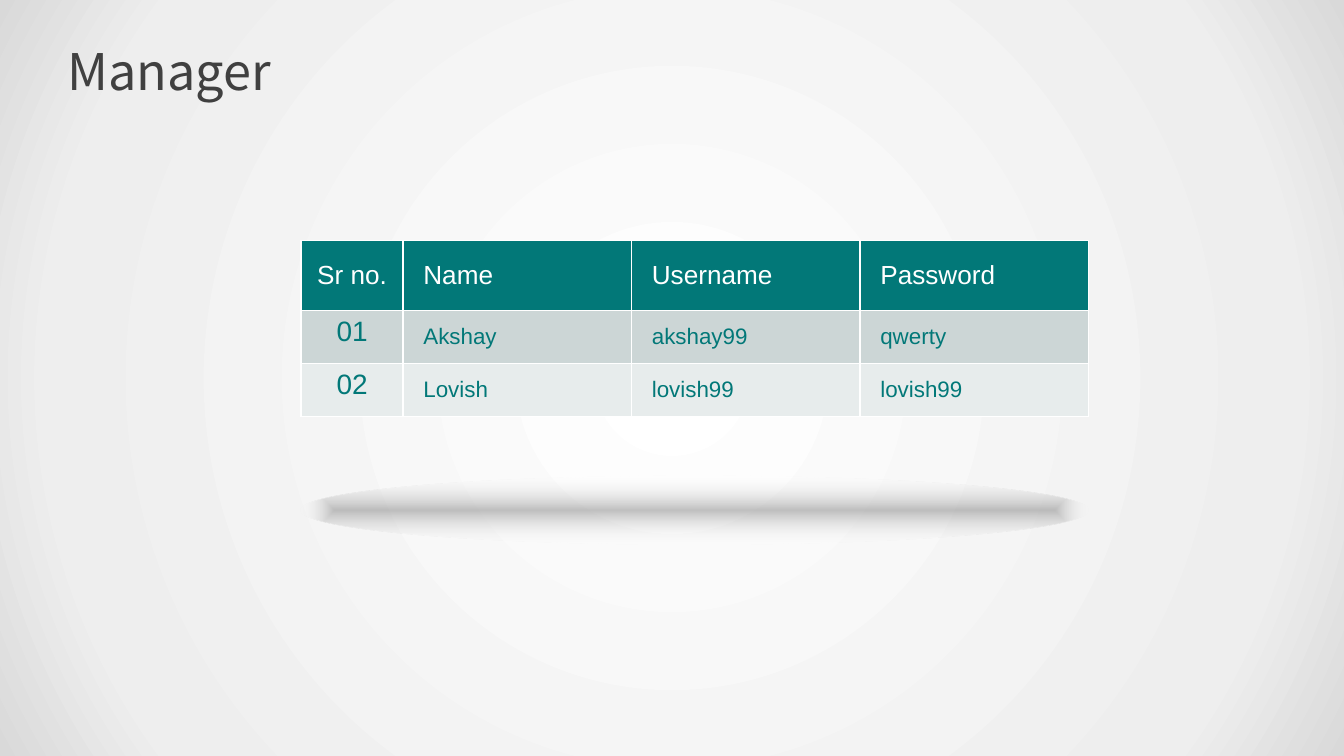
from lxml import etree
from pptx import Presentation
from pptx.enum import shapes, text
from pptx.oxml import parse_xml
from pptx.oxml.ns import nsdecls, qn
from pptx.dml.color import RGBColor
from pptx.util import Inches, Pt

COLORS = {
    "white": "FFFFFF", "title": "404040", "teal": "027878",
    "odd_row": "CCD6D6", "even_row": "E7ECEC",
    "mist": "EEEEEE", "edge": "D9D9D9", "shadow": "808080",
}
HEADINGS = ["Sr no.", "Name", "Username", "Password"]
MANAGERS = [
    ["01", "Akshay", "akshay99", "qwerty"],
    ["02", "Lovish", "lovish99", "lovish99"],
]


def rgb(name):
    return RGBColor.from_string(COLORS[name])


def set_centred_gradient(fill, parent, path, stops):
    """Fill from the centre outwards; stops are (position %, colour, opacity %)."""
    fill.solid()
    stop_xml = "".join(
        f'<a:gs pos="{position * 1000}"><a:srgbClr val="{COLORS[color]}">'
        f'<a:alpha val="{opacity * 1000}"/></a:srgbClr></a:gs>'
        for position, color, opacity in stops)
    gradient = parse_xml(
        f'<a:gradFill {nsdecls("a")} rotWithShape="1"><a:gsLst>{stop_xml}</a:gsLst>'
        f'<a:path path="{path}"><a:fillToRect l="50000" t="50000" r="50000" b="50000"/>'
        '</a:path></a:gradFill>')
    parent.replace(parent.find(qn("a:solidFill")), gradient)


def set_borders(cell, color, width):
    properties = cell._tc.get_or_add_tcPr()
    for index, side in enumerate(("lnL", "lnR", "lnT", "lnB")):
        line = etree.Element(qn(f"a:{side}"), w=str(Pt(width)))
        solid = etree.SubElement(line, qn("a:solidFill"))
        etree.SubElement(solid, qn("a:srgbClr"), val=COLORS[color])
        properties.insert(index, line)


def add_background(slide):
    fill = slide.background.fill
    properties = slide._element.find(".//" + qn("p:bgPr"))
    set_centred_gradient(fill, properties, "circle",
                         [(0, "white", 100), (81, "mist", 100), (100, "edge", 100)])


def add_title(slide, left, top, width, height):
    title = slide.shapes.title
    title.left, title.top, title.width, title.height = map(Inches, (left, top, width, height))
    frame = title.text_frame
    frame.text = "Manager"
    frame.margin_left = frame.margin_right = 0
    frame.margin_top = frame.margin_bottom = Inches(0.07)
    frame.vertical_anchor = text.MSO_ANCHOR.MIDDLE
    heading = frame.paragraphs[0]
    heading.alignment = text.PP_ALIGN.LEFT
    heading.font.name = "Noto Sans CJK KR"
    heading.font.size = Pt(27)
    heading.font.color.rgb = rgb("title")


def format_cell(cell, content, fill, color, size, is_number, anchor):
    cell.text = content
    cell.fill.solid()
    cell.fill.fore_color.rgb = rgb(fill)
    cell.margin_left = Inches(0.07 if is_number else 0.15)
    cell.margin_right = Inches(0.07)
    cell.margin_top = cell.margin_bottom = Inches(0.04)
    cell.vertical_anchor = anchor
    paragraph = cell.text_frame.paragraphs[0]
    paragraph.alignment = text.PP_ALIGN.CENTER if is_number else text.PP_ALIGN.LEFT
    paragraph.font.name = "Arial"
    paragraph.font.size = Pt(size)
    paragraph.font.color.rgb = rgb(color)
    set_borders(cell, "white", 1)


def add_manager_table(slide, left, top, width, height):
    rows = [HEADINGS, *MANAGERS]
    header_height, number_width = 0.52, 0.76
    table = slide.shapes.add_table(
        len(rows), len(HEADINGS), *map(Inches, (left, top, width, height))).table
    for index, column in enumerate(table.columns):
        column.width = Inches((width - number_width) / (len(HEADINGS) - 1)
                              if index else number_width)
    for r, values in enumerate(rows):
        table.rows[r].height = Inches((height - header_height) / len(MANAGERS)
                                      if r else header_height)
        for c, value in enumerate(values):
            is_number = c == 0
            if r == 0:
                fill, color, size = "teal", "white", 14
            else:
                fill = "odd_row" if r % 2 else "even_row"
                color, size = "teal", 15 if is_number else 12
            anchor = text.MSO_ANCHOR.TOP if r and is_number else text.MSO_ANCHOR.MIDDLE
            format_cell(table.cell(r, c), value, fill, color, size, is_number, anchor)


def add_floor_shadow(slide, left, top, width, height):
    ellipse = slide.shapes.add_shape(
        shapes.MSO_SHAPE.OVAL, *map(Inches, (left, top, width, height)))
    ellipse.shadow.inherit = False
    ellipse.line.fill.background()
    set_centred_gradient(ellipse.fill, ellipse._element.spPr, "shape",
                         [(0, "shadow", 49), (100, "white", 0)])


def main():
    presentation = Presentation()
    presentation.slide_width = Inches(10)
    presentation.slide_height = Inches(10 * 9 / 16)
    slide = presentation.slides.add_slide(presentation.slide_layouts[5])
    table_left, table_width = 2.24, 5.86
    add_background(slide)
    add_title(slide, 0.5, 0.23, 9, 0.58)
    add_manager_table(slide, table_left, 1.79, table_width, 1.31)
    add_floor_shadow(slide, table_left, 3.54, table_width, 0.51)
    presentation.save("out.pptx")


if __name__ == "__main__":
    main()
